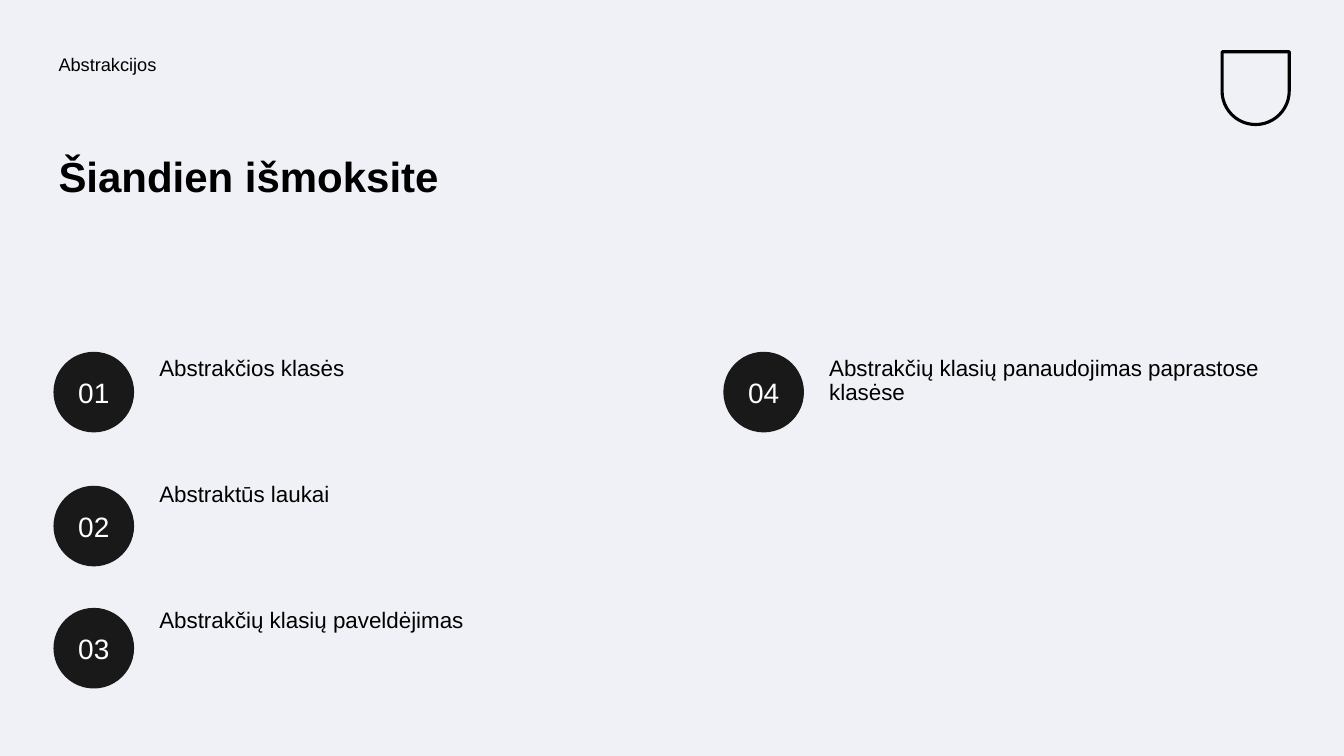
from lxml import etree
from pptx import Presentation
from pptx import util as u
from pptx.dml.color import RGBColor
from pptx.enum import shapes, text
from pptx.oxml.ns import qn

COLORS = {"page": "F0F1F6", "ink": "000000", "disc": "191919", "number": "FEFFFF"}
FONT = "Arial"
COURSE = "Abstrakcijos"
HEADING = "Šiandien išmoksite"
TOPICS = [
    "Abstrakčios klasės",
    "Abstraktūs laukai",
    "Abstrakčių klasių paveldėjimas",
    "Abstrakčių klasių panaudojimas paprastose klasėse",
]

LEFT = 38.2
INSET = 3.6
ROWS = 3
COLUMN_STEP = 478.5
TOPIC_LEFT, TOPIC_TOP, TOPIC_STEP = 110.2, 251.3, 90
TOPIC_SIZE = (333.4, 71.3)
DISC_TOPS = [251.3, 347, 434.2]
DISC_SIZE = 57.6
BADGE = (872.9, 37, 48, 52)
BADGE_LINE = 2.2


def color(name):
    return RGBColor.from_string(COLORS[name])


def assign(target, values):
    for name, value in values.items():
        setattr(target, name, value)


def place(box, left, top, width, height):
    assign(box, {"left": u.Pt(left), "top": u.Pt(top),
                 "width": u.Pt(width), "height": u.Pt(height)})


def write(box, words, size, ink="ink", bold=False, spacing=0.9,
          align=text.PP_ALIGN.LEFT, anchor=text.MSO_ANCHOR.TOP):
    frame = box.text_frame
    sides = ("left", "right", "top", "bottom")
    assign(frame, {f"margin_{side}": u.Pt(INSET) for side in sides})
    assign(frame, {"word_wrap": True, "auto_size": text.MSO_AUTO_SIZE.NONE,
                   "vertical_anchor": anchor})
    para = frame.paragraphs[0]
    assign(para, {"alignment": align, "line_spacing": spacing,
                  "space_before": u.Pt(0), "space_after": u.Pt(0)})
    span = para.add_run()
    span.text = words
    assign(span.font, {"name": FONT, "size": u.Pt(size), "bold": bold})
    span.font.color.rgb = color(ink)
    return para


def remove_bullet(para):
    props = para._p.get_or_add_pPr()
    props.set("marL", "0")
    props.set("indent", "0")
    etree.SubElement(props, qn("a:buNone"))


def add_badge(page):
    badge = page.shapes.add_shape(
        shapes.MSO_SHAPE.ROUND_2_SAME_RECTANGLE, *map(u.Pt, BADGE))
    badge.adjustments[0] = 0
    badge.adjustments[1] = 0.5
    badge.shadow.inherit = False
    badge.fill.background()
    badge.line.color.rgb = color("ink")
    badge.line.width = u.Pt(BADGE_LINE)


def add_disc(page, left, top, number):
    disc = page.shapes.add_shape(
        shapes.MSO_SHAPE.OVAL, u.Pt(left), u.Pt(top), u.Pt(DISC_SIZE), u.Pt(DISC_SIZE))
    disc.shadow.inherit = False
    disc.fill.solid()
    disc.fill.fore_color.rgb = color("disc")
    disc.line.fill.background()
    write(disc, f"{number:02d}", 20, "number", spacing=1.0,
          align=text.PP_ALIGN.CENTER, anchor=text.MSO_ANCHOR.MIDDLE)


def main():
    deck = Presentation()
    assign(deck, {"slide_width": u.Pt(960), "slide_height": u.Pt(540)})
    page = deck.slides.add_slide(deck.slide_layouts.get_by_name("Comparison"))
    page.background.fill.solid()
    page.background.fill.fore_color.rgb = color("page")

    add_badge(page)
    course = page.shapes.add_textbox(u.Pt(LEFT), u.Pt(36), u.Pt(442), u.Pt(36))
    write(course, COURSE, 13)
    title = page.shapes.title
    place(title, LEFT, 108, 406, 107.3)
    write(title, HEADING, 30, bold=True)

    for index, topic in enumerate(TOPICS):
        column, row = divmod(index, ROWS)
        shift = column * COLUMN_STEP
        body = page.placeholders[index + 1]
        place(body, TOPIC_LEFT + shift, TOPIC_TOP + row * TOPIC_STEP, *TOPIC_SIZE)
        remove_bullet(write(body, topic, 16))
        add_disc(page, LEFT + shift, DISC_TOPS[row], index + 1)

    deck.save("out.pptx")


if __name__ == "__main__":
    main()
